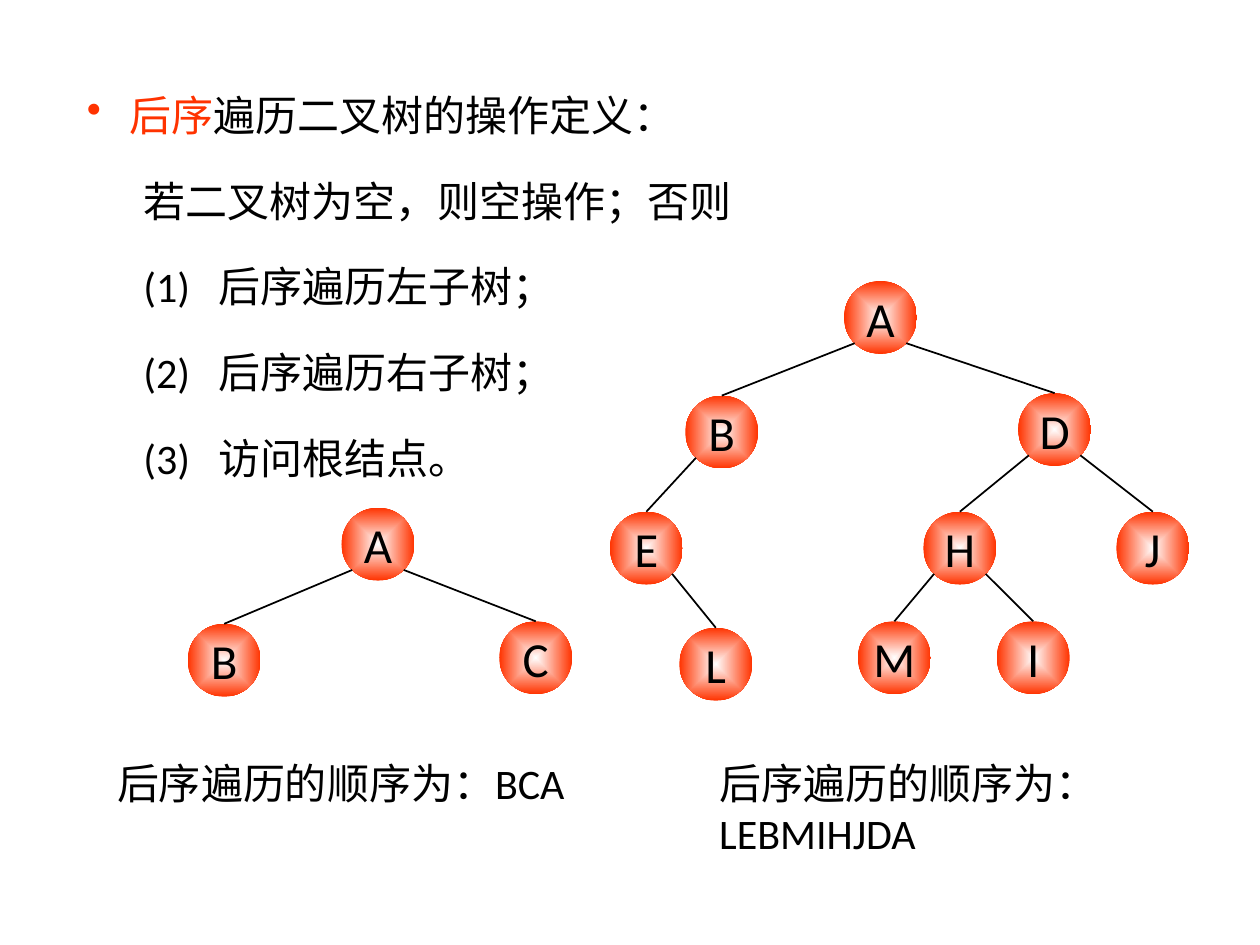
from dataclasses import dataclass
from math import sqrt

from lxml.etree import SubElement
from pptx import Presentation
from pptx.dml.color import RGBColor
from pptx.enum.shapes import MSO_CONNECTOR, MSO_SHAPE
from pptx.enum.text import MSO_ANCHOR, PP_ALIGN
from pptx.oxml.ns import qn
from pptx.slide import Slide
from pptx.text.text import TextFrame
from pptx.util import Cm, Pt

RED = RGBColor(0xFF, 0x33, 0x00)
WHITE = RGBColor(0xFF, 0xFF, 0xFF)
BLACK = RGBColor(0x00, 0x00, 0x00)
FONT = "Calibri"
DIAMETER = 1.47  # node size in cm


@dataclass
class Node:
    """A tree node: centre in cm and the label of its parent."""
    label: str
    x: float
    y: float
    parent: str = ""


SMALL_TREE = [
    Node("A", 7.62, 10.97),
    Node("B", 4.52, 13.31, "A"),
    Node("C", 10.8, 13.26, "A"),
]
LARGE_TREE = [
    Node("A", 17.75, 6.4),
    Node("B", 14.55, 8.71, "A"),
    Node("D", 21.26, 8.66, "A"),
    Node("E", 13.03, 11.05, "B"),
    Node("H", 19.35, 11.05, "D"),
    Node("J", 23.24, 11.05, "D"),
    Node("L", 14.43, 13.39, "E"),
    Node("M", 18.03, 13.26, "H"),
    Node("I", 20.83, 13.26, "H"),
]
DEFINITION = [
    "后序遍历二叉树的操作定义：",
    "若二叉树为空，则空操作；否则",
    "(1)\t后序遍历左子树；",
    "(2)\t后序遍历右子树；",
    "(3)\t访问根结点。",
]


def style_text(frame: TextFrame, size: int) -> None:
    for para in frame.paragraphs:
        for span in para.runs:
            span.font.name = FONT
            span.font.size = Pt(size)
            span.font.color.rgb = BLACK


def add_text(page: Slide, left: float, top: float, width: float, height: float,
             lines: list[str]) -> TextFrame:
    box = page.shapes.add_textbox(Cm(left), Cm(top), Cm(width), Cm(height))
    frame = box.text_frame
    frame.word_wrap = True
    frame.text = "\n".join(lines)
    style_text(frame, 24)
    return frame


def set_indent(para, margin: float, indent: float, bullet: str = "") -> None:
    properties = para._p.get_or_add_pPr()
    properties.set("marL", str(Cm(margin)))
    properties.set("indent", str(Cm(indent)))
    if bullet:
        SubElement(properties, qn("a:buChar")).set("char", bullet)


def fill_radial(shape) -> None:
    """White in the centre, red at the rim."""
    shape.fill.gradient()
    for stop, color in zip(shape.fill.gradient_stops, (WHITE, RED)):
        stop.color.rgb = color
    gradient = shape._element.spPr.find(qn("a:gradFill"))
    gradient.remove(gradient.find(qn("a:lin")))
    path = SubElement(gradient, qn("a:path"))
    path.set("path", "shape")
    center = SubElement(path, qn("a:fillToRect"))
    for side in "ltrb":
        center.set(side, "50000")


def add_node(group, node: Node):
    radius = DIAMETER / 2
    circle = group.shapes.add_shape(
        MSO_SHAPE.OVAL, Cm(node.x - radius), Cm(node.y - radius),
        Cm(DIAMETER), Cm(DIAMETER))
    circle.shadow.inherit = False
    circle.line.fill.background()
    fill_radial(circle)
    frame = circle.text_frame
    frame.margin_left = frame.margin_right = 0
    frame.margin_top = frame.margin_bottom = 0
    frame.word_wrap = False
    frame.vertical_anchor = MSO_ANCHOR.MIDDLE
    frame.text = node.label
    frame.paragraphs[0].alignment = PP_ALIGN.CENTER
    style_text(frame, 28)
    return circle


def add_edge(group, parent: Node, child: Node, child_circle) -> None:
    """Join the lower diagonal of the parent to the top of the child."""
    reach = DIAMETER / 2 / sqrt(2)
    start_x = parent.x + (reach if child.x > parent.x else -reach)
    edge = group.shapes.add_connector(
        MSO_CONNECTOR.STRAIGHT, Cm(start_x), Cm(parent.y + reach),
        Cm(child.x), Cm(child.y - DIAMETER / 2))
    edge.end_connect(child_circle, 0)
    edge.line.color.rgb = BLACK
    edge.line.width = Pt(1)
    SubElement(edge._element.spPr, qn("a:effectLst"))


def add_tree(page: Slide, nodes: list[Node]) -> None:
    group = page.shapes.add_group_shape()
    by_label = {node.label: node for node in nodes}
    circles = {node.label: add_node(group, node) for node in nodes}
    for node in nodes:
        if node.parent:
            add_edge(group, by_label[node.parent], node, circles[node.label])


def add_definition(page: Slide) -> None:
    frame = add_text(page, 1.5, 0.97, 13.92, 8.86, DEFINITION)
    heading, condition, *steps = frame.paragraphs
    set_indent(heading, 0.86, -0.86, "•")
    set_indent(condition, 1.14, 0)
    for step in steps:
        set_indent(step, 2.65, -1.51)
    for para in frame.paragraphs:
        para.line_spacing = 1.7

    # Red key word at the start of the heading
    heading.runs[0].text = "后序"
    heading.add_run().text = DEFINITION[0].removeprefix("后序")
    style_text(frame, 24)
    heading.runs[0].font.color.rgb = RED


def main() -> None:
    deck = Presentation()
    deck.slide_width, deck.slide_height = Cm(25.4), Cm(19.05)
    page = deck.slides.add_slide(deck.slide_layouts[6])

    # Definition and results
    add_definition(page)
    add_text(page, 2.11, 15.14, 10.8, 1.27, ["后序遍历的顺序为：BCA"])
    add_text(page, 14.25, 15.14, 9.09, 2.31, ["后序遍历的顺序为：", "LEBMIHJDA"])

    # Example trees
    add_tree(page, SMALL_TREE)
    add_tree(page, LARGE_TREE)

    deck.save("out.pptx")


if __name__ == "__main__":
    main()
